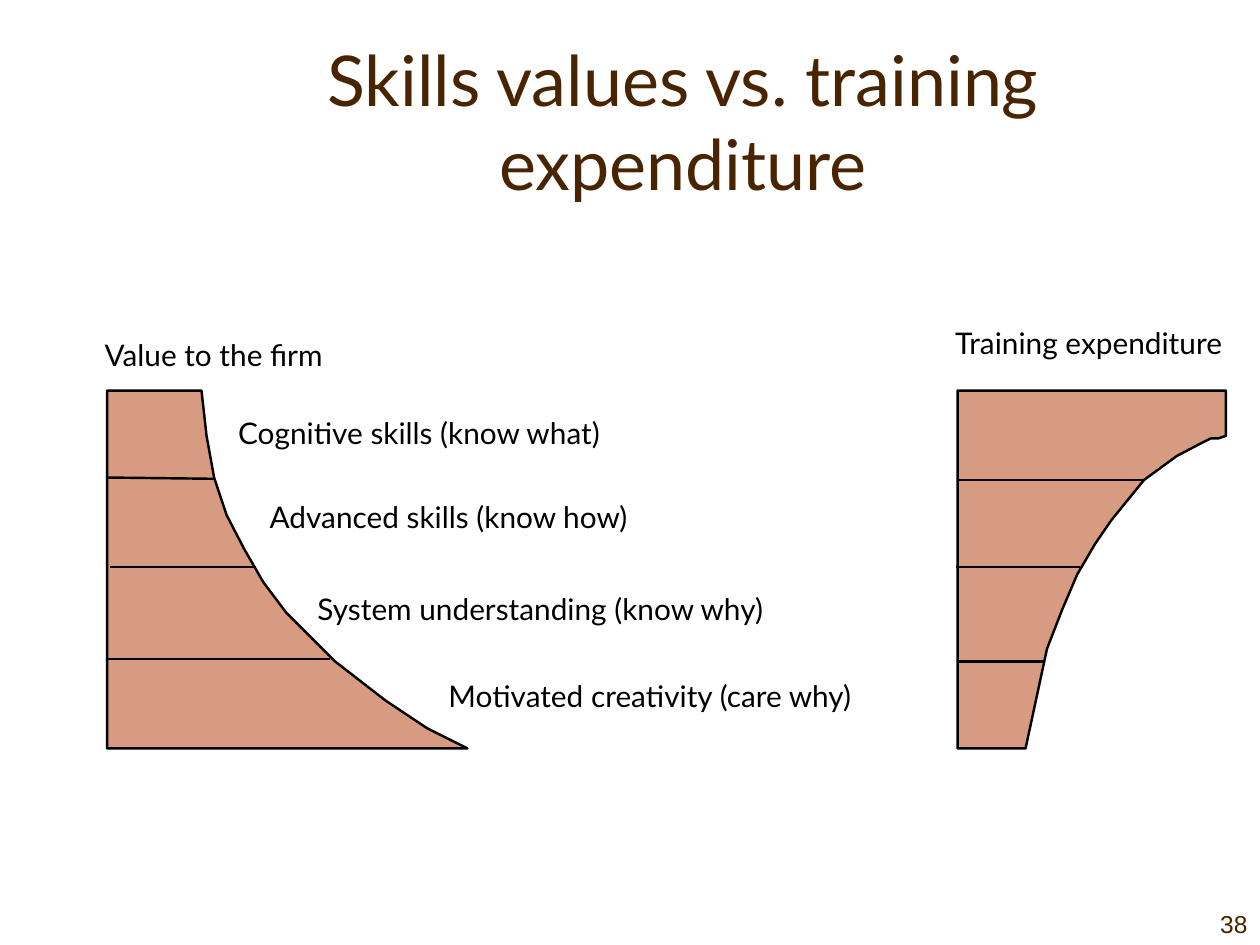
from pptx import Presentation as Deck
from pptx.dml.color import RGBColor as RGB
from pptx.enum.shapes import MSO_CONNECTOR as Conn
from pptx.enum.text import MSO_ANCHOR as Anchor, MSO_AUTO_SIZE as Fit, PP_ALIGN as Align
from pptx.oxml.ns import qn
from pptx.util import Pt
from lxml.etree import SubElement as Sub

PX = 9144  # 100 px to the inch
BROWN = RGB(0x48, 0x24, 0x00)
CLAY = RGB(0xD6, 0x9B, 0x80)
BLACK = RGB(0, 0, 0)

HEAD = dict(name="Lato", size=Pt(40))
LABEL = dict(name="Lato", size=Pt(17))
PAGE = dict(name="Arial", size=Pt(14))
FLUSH = dict(margin_left=0, margin_top=0, margin_right=0, margin_bottom=0,
             word_wrap=False, auto_size=Fit.SHAPE_TO_FIT_TEXT)
LOW = dict(vertical_anchor=Anchor.BOTTOM, word_wrap=True, auto_size=Fit.NONE)


def put(obj, vals):
    for key, val in vals.items():
        setattr(obj, key, val)


class Board:
    def __init__(self, deck):
        self.slide = deck.slides.add_slide(deck.slide_layouts[5])
        self.shapes = self.slide.shapes

    def fill_text(self, box, text, font, ink, frame, align):
        put(box.text_frame, frame)
        para = box.text_frame.paragraphs[0]
        para.text = text
        para.alignment = align
        put(para.font, font)
        para.font.color.rgb = ink

    def title(self, text, x, y, w, h):
        box = self.shapes.title
        put(box, dict(left=x * PX, top=y * PX, width=w * PX, height=h * PX))
        self.fill_text(box, text, HEAD, BROWN, LOW, Align.CENTER)

    def text(self, text, x, y, w, h=28, font=LABEL, ink=BLACK, frame=FLUSH,
             align=Align.LEFT):
        box = self.shapes.add_textbox(x * PX, y * PX, w * PX, h * PX)
        self.fill_text(box, text, font, ink, frame, align)

    def pen(self, line):
        line.color.rgb = BLACK
        line.width = Pt(1.38)

    def area(self, spots):
        form = self.shapes.build_freeform(*spots[0], scale=PX)
        form.add_line_segments(spots[1:], close=True)
        shape = form.convert_to_shape()
        shape.shadow.inherit = False
        shape.fill.solid()
        shape.fill.fore_color.rgb = CLAY
        self.pen(shape.line)

    def rule(self, x1, y1, x2, y2):
        line = self.shapes.add_connector(
            Conn.STRAIGHT, x1 * PX, y1 * PX, x2 * PX, y2 * PX)
        self.pen(line.line)
        Sub(line._element.spPr, qn("a:effectLst"))


def main():
    deck = Deck()
    put(deck, dict(slide_width=1000 * PX, slide_height=750 * PX))
    board = Board(deck)

    # Title and page number
    board.title("Skills values vs. training expenditure", 117, 42, 850, 125)
    board.text("38", 900, 700, 100, 50, PAGE, BROWN, LOW, Align.RIGHT)

    # Value to the firm: widens towards the base
    board.area([(371, 594), (339, 578), (306, 556), (266, 525), (227, 486),
                (209, 462), (194, 436), (180, 409), (170, 379), (164, 346),
                (160, 310), (85, 310), (85, 594)])

    # Training expenditure: narrows towards the base
    board.area([(973, 346), (973, 310), (760, 310), (760, 594), (814, 594),
                (831, 515), (843, 484), (855, 456), (869, 432), (882, 413),
                (908, 381), (934, 362), (953, 352), (961, 348), (967, 348)])

    # Level dividers
    for spot in [(85, 379, 170, 380), (87, 450, 203, 450), (85, 523, 262, 523),
                 (760, 381, 908, 381), (759, 450, 857, 450), (760, 525, 829, 525)]:
        board.rule(*spot)

    # Chart headings and skill levels
    for label in [("Value to the firm", 83, 267, 182),
                  ("Training expenditure", 758, 258, 221),
                  ("Cognitive skills (know what)", 189, 329, 297),
                  ("Advanced skills (know how)", 214, 396, 290),
                  ("System understanding (know why)", 252, 469, 360),
                  ("Motivated creativity (care why)", 356, 538, 333)]:
        board.text(*label)

    deck.save("out.pptx")


if __name__ == "__main__":
    main()
